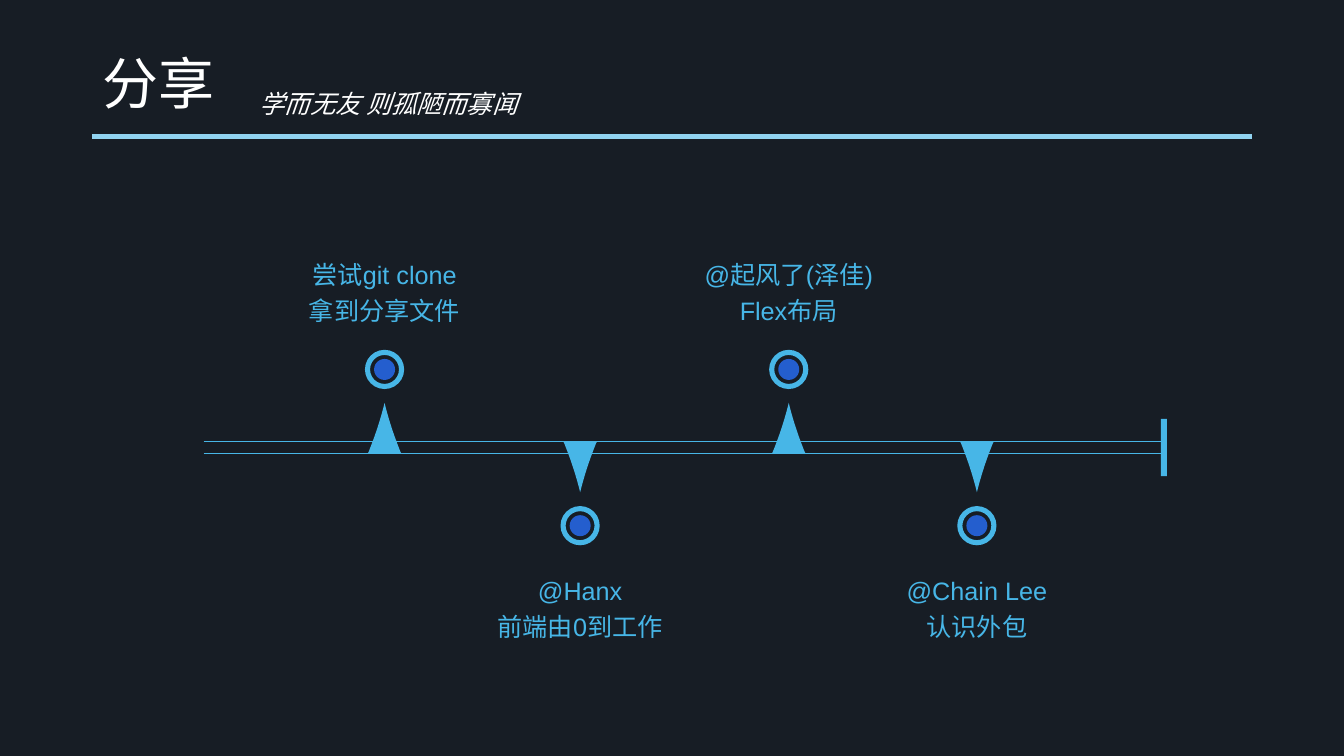
from dataclasses import dataclass

from lxml import etree
from pptx import Presentation
from pptx.dml.color import RGBColor
from pptx.enum import shapes, text
from pptx.oxml import ns
from pptx.util import Pt


@dataclass(frozen=True)
class Theme:
    """Colours, font and type sizes of the slide."""
    back: str = "171D25"
    rule: str = "91D3F1"
    sky: str = "47B6E7"
    core: str = "245ECE"
    white: str = "FFFFFF"
    font: str = "Arial"
    title: int = 40
    body: int = 18


THEME = Theme()
STOPS = [
    (274.7, -1, ["尝试git clone", "拿到分享文件"]),
    (414.4, 1, ["@Hanx", "前端由0到工作"]),
    (563.4, -1, ["@起风了(泽佳)", "Flex布局"]),
    (697.8, 1, ["@Chain Lee", "认识外包"]),
]


def paint(shape, color):
    """Give a shape a flat fill with no line or shadow."""
    shape.shadow.inherit = False
    shape.fill.solid()
    shape.fill.fore_color.rgb = RGBColor.from_string(color)
    shape.line.fill.background()


def line(group, start, end, color, width):
    """Draw a plain straight line between two points."""
    ends = [Pt(v) for v in (*start, *end)]
    link = group.add_connector(shapes.MSO_CONNECTOR.STRAIGHT, *ends)
    link.line.color.rgb = RGBColor.from_string(color)
    link.line.width = Pt(width)
    etree.SubElement(link._element.spPr, ns.qn("a:effectLst"))


def label(group, box, lines, size, color, anchor="TOP", align="LEFT",
          space=1.0, slant=False):
    """Place wrapped text in a box, one paragraph a line."""
    frame = group.add_textbox(*[Pt(v) for v in box]).text_frame
    frame.word_wrap = True
    frame.vertical_anchor = text.MSO_ANCHOR[anchor]
    frame.text = "\n".join(lines)
    for para in frame.paragraphs:
        para.alignment = text.PP_ALIGN[align]
        para.line_spacing = space
        para.font.name = THEME.font
        para.font.size = Pt(size)
        para.font.italic = slant
        para.font.color.rgb = RGBColor.from_string(color)


def disc(group, kind, x, y, size, color):
    """Draw a round shape about a centre point."""
    box = [Pt(v) for v in (x - size / 2, y - size / 2, size, size)]
    shape = group.add_shape(kind, *box)
    paint(shape, color)
    return shape


def spike(group, x, base, way):
    """Draw a curved spike from its base, up or down by way."""
    curve = [(11.3, 1.4), (7, 12.2), (3, 23.8), (0, 36.2)]
    side = [(12, 0)]
    for step in range(13):
        t = step / 12
        parts = [(1 - t) ** 3, 3 * t * (1 - t) ** 2, 3 * t * t * (1 - t), t ** 3]
        side.append(tuple(sum(w * p[i] for w, p in zip(parts, curve))
                          for i in (0, 1)))
    form = side + [(-dx, dy) for dx, dy in side[-2::-1]]
    dots = [(Pt(x + dx), Pt(base + way * dy)) for dx, dy in form]
    pen = group.build_freeform(*dots[0], scale=1.0)
    pen.add_line_segments(dots[1:], close=True)
    paint(pen.convert_to_shape(), THEME.sky)


def stop(slide, x, mid, way, lines):
    """Draw one timeline stop above or below the axis."""
    group = slide.shapes.add_group_shape().shapes
    spike(group, x, mid - way * 4.3, way)
    ring = disc(group, shapes.MSO_SHAPE.DONUT, x, mid + way * 55.8, 28, THEME.sky)
    ring.adjustments[0] = 0.131
    disc(group, shapes.MSO_SHAPE.OVAL, x, mid + way * 55.8, 15, THEME.core)
    wide, high = 147.6, 93.6
    top = mid + 83.5 if way > 0 else mid - 83.5 - high
    label(group, (x - wide / 2, top, wide, high), lines, THEME.body, THEME.sky,
          "TOP" if way > 0 else "BOTTOM", "CENTER", 1.2)


def header(slide, box):
    """Place the title, motto and rule in the box."""
    x, y, wide, high = box
    line(slide.shapes, (x, y + 69), (x + wide, y + 69), THEME.rule, 3.5)
    label(slide.shapes, box, ["分享"], THEME.title, THEME.white, "MIDDLE", space=0.9)
    label(slide.shapes, (x + 112.4, y + 31, 391.7, 29), ["学而无友 则孤陋而寡闻"],
          THEME.body, THEME.white, slant=True)


def timeline(slide, box):
    """Draw the rails, end bar and stops in the box."""
    x, y, wide, high = box
    mid, end = y + high / 2, x + wide
    for gap in (4.3, -4.3):
        line(slide.shapes, (x, mid + gap), (end, mid + gap), THEME.sky, 0.5)
    bar = slide.shapes.add_shape(shapes.MSO_SHAPE.RECTANGLE, Pt(end - 2.2),
                                 Pt(mid - 20.5), Pt(4.4), Pt(41))
    paint(bar, THEME.sky)
    for left, way, lines in STOPS:
        stop(slide, left, mid, way, lines)


def main():
    """Build and save the slide."""
    deck = Presentation()
    deck.slide_width, deck.slide_height = Pt(960), Pt(540)
    slide = deck.slides.add_slide(deck.slide_layouts[6])
    slide.background.fill.solid()
    slide.background.fill.fore_color.rgb = RGBColor.from_string(THEME.back)
    header(slide, (66, 28.8, 828, 66.2))
    timeline(slide, (145.4, 142.6, 686, 354.2))
    deck.save("out.pptx")


if __name__ == "__main__":
    main()
